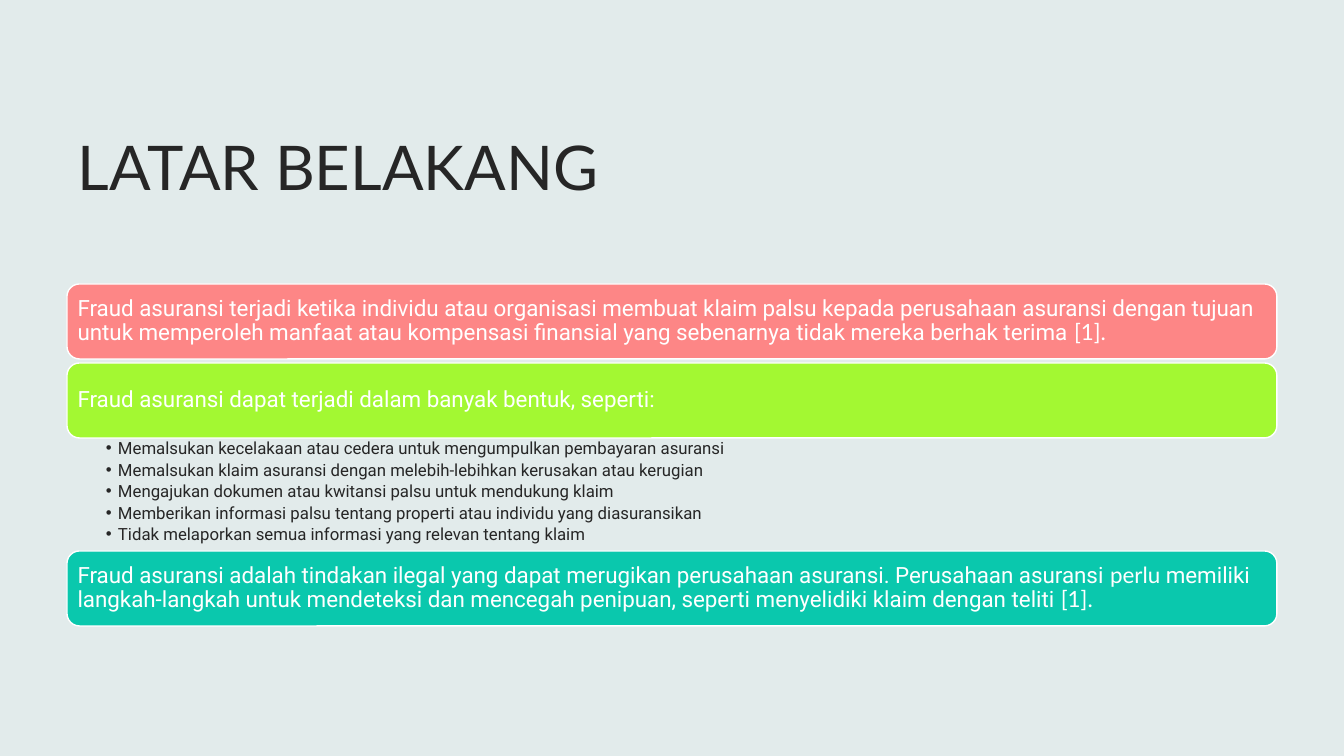
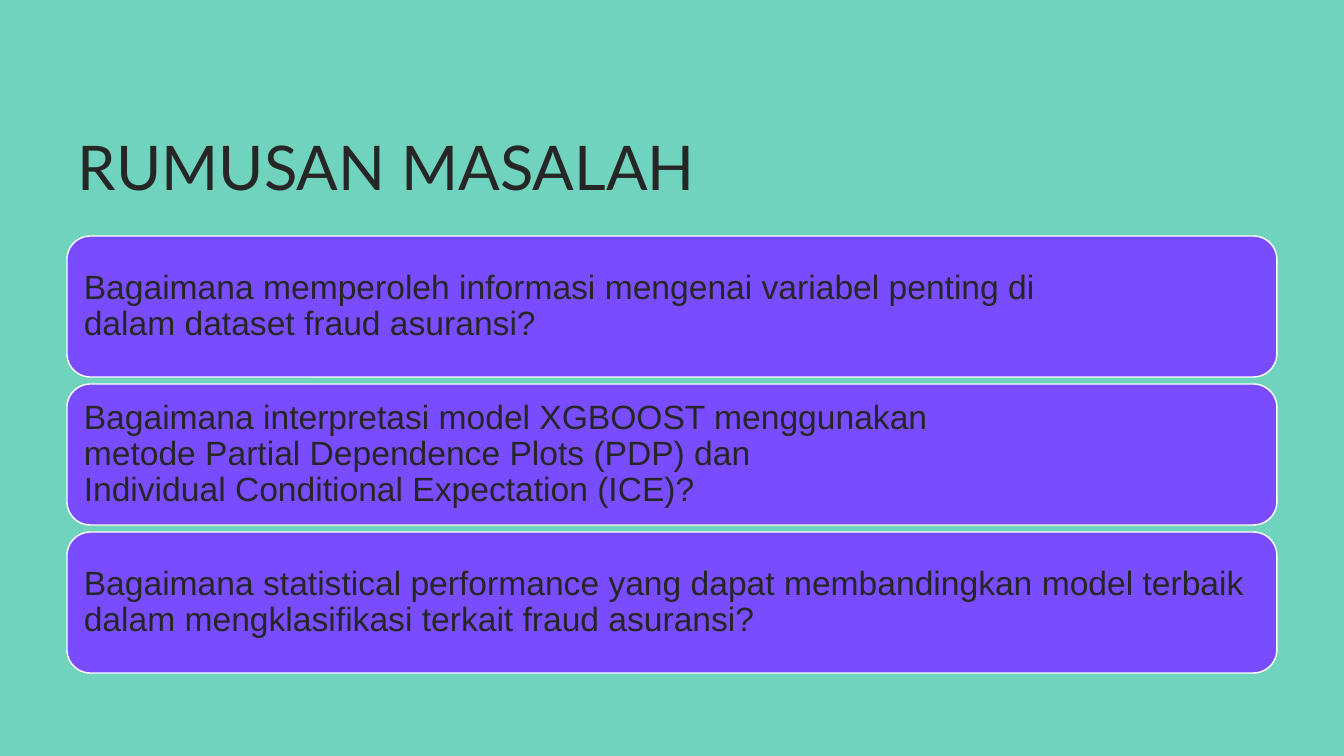
"""Builds two slides on insurance fraud: background and research questions."""
from lxml.etree import SubElement as add_element
from pptx import Presentation
from pptx.dml.color import RGBColor
from pptx.enum.shapes import MSO_SHAPE as Preset
from pptx.enum.text import MSO_ANCHOR as Anchor, MSO_AUTO_SIZE as AutoSize, PP_ALIGN as Align
from pptx.oxml.ns import qn
from pptx.util import Emu, Pt

WIDTH, HEIGHT = 1344, 756
EMU_PER_PX = 12192000 / WIDTH
MARGIN, CONTENT_WIDTH = 67, 1210

MIST = RGBColor(0xE9, 0xF3, 0xF3)
GRAY = RGBColor(0xAE, 0xAE, 0xAE)
GREEN = RGBColor(0x1E, 0xBE, 0x9B)
INK = RGBColor(0x26, 0x26, 0x26)
WHITE = RGBColor(0xFF, 0xFF, 0xFF)
CORAL = RGBColor(0xFD, 0x86, 0x86)
LIME = RGBColor(0xA3, 0xF8, 0x32)
TEAL = RGBColor(0x0A, 0xC8, 0xAD)
VIOLET = RGBColor(0x79, 0x4D, 0xFF)

TITLE_AND_BODY, TITLE_ONLY = 1, 5
TIE, HARD_SPACE = "~", chr(160)


def px(length):
    return Emu(round(length * EMU_PER_PX))


class Slides:
    def __init__(self):
        self.deck = Presentation()
        self.deck.slide_width, self.deck.slide_height = px(WIDTH), px(HEIGHT)
        self.page = None

    def start(self, layout, title, wash, opacity):
        self.page = self.deck.slides.add_slide(self.deck.slide_layouts[layout])
        background = self.page.background.fill
        background.solid()
        background.fore_color.rgb = MIST
        self.wash(wash, opacity)
        self.title(title)

    def shape(self, preset, left, top, width, height, color):
        shape = self.page.shapes.add_shape(preset, px(left), px(top), px(width), px(height))
        shape.shadow.inherit = False
        shape.fill.solid()
        shape.fill.fore_color.rgb = color
        return shape

    def wash(self, color, opacity):
        veil = self.shape(Preset.RECTANGLE, 0, 0, WIDTH, HEIGHT, color)
        veil.line.fill.background()
        tint = veil.fill._xPr.find(qn("a:solidFill"))[0]
        add_element(tint, qn("a:alpha"), val=str(opacity * 1000))
        tree = self.page.shapes._spTree
        tree.remove(veil._element)
        tree.insert(2, veil._element)

    def place(self, box, top, height):
        box.left, box.top = px(MARGIN), px(top)
        box.width, box.height = px(CONTENT_WIDTH), px(height)

    def frame(self, box, anchor, insets):
        frame = box.text_frame
        frame.word_wrap = True
        frame.auto_size = AutoSize.NONE
        frame.vertical_anchor = anchor
        frame.margin_left, frame.margin_top, frame.margin_right, frame.margin_bottom = map(px, insets)
        return frame

    def style(self, para, font, size, color):
        para.alignment = Align.LEFT
        para.font.name = font
        para.font.size = Pt(size)
        para.font.color.rgb = color

    def title(self, text):
        box = self.page.shapes.title
        self.place(box, 62, 146)
        frame = self.frame(box, Anchor.BOTTOM, (11, 5, 10, 5))
        frame.text = text
        self.style(frame.paragraphs[0], "Lato", 44, INK)

    def panel(self, top, height, color, spans, inset, font, size, ink):
        box = self.shape(Preset.ROUNDED_RECTANGLE, MARGIN, top, CONTENT_WIDTH, height, color)
        box.line.color.rgb = WHITE
        box.line.width = Pt(1)
        para = self.frame(box, Anchor.MIDDLE, [inset] * 4).paragraphs[0]
        para.line_spacing = 0.9
        self.style(para, font, size, ink)
        for text, span_font in spans:
            span = para.add_run()
            span.text = text.replace(TIE, HARD_SPACE)
            if span_font != font:
                span.font.name = span_font

    def bullets(self, top, height, items):
        box = self.page.placeholders[1]
        self.place(box, top, height)
        frame = self.frame(box, Anchor.TOP, (39, 2, 12, 2))
        for index, item in enumerate(items):
            para = frame.add_paragraph() if index else frame.paragraphs[0]
            para.text = item
            para.line_spacing = 0.9
            para.space_before, para.space_after = Pt(0), Pt(2.4)
            properties = para._p.get_or_add_pPr()
            properties.set("marL", str(px(12)))
            properties.set("indent", str(px(-12)))
            add_element(properties, qn("a:buChar"), char="•")
            self.style(para, "Roboto", 12, INK)


def add_background(slides):
    slides.start(TITLE_AND_BODY, "LATAR BELAKANG", GRAY, 10)
    panels = [
        (284, CORAL, [
            ("Fraud asuransi~terjadi ketika individu atau organisasi membuat klaim palsu~kepada "
             "perusahaan asuransi dengan tujuan untuk memperoleh manfaat atau kompensasi finansial "
             "yang sebenarnya tidak mereka berhak terima", "Roboto"),
            (" [1].", "Lato")]),
        (363, LIME, [("Fraud asuransi dapat terjadi dalam banyak bentuk, seperti:", "Roboto")]),
        (551, TEAL, [
            ("Fraud~asuransi adalah tindakan ilegal yang dapat merugikan perusahaan asuransi.~"
             "Perusahaan asuransi", "Roboto"),
            (" perlu", "Lato"),
            (" memiliki langkah-langkah untuk mendeteksi dan mencegah~penipuan, seperti "
             "menyelidiki klaim dengan teliti", "Roboto"),
            (" [1].", "Lato")]),
    ]
    for top, color, spans in panels:
        slides.panel(top, 75, color, spans, 7, "Roboto", 16, WHITE)
    slides.bullets(438, 113, [
        "Memalsukan kecelakaan atau cedera untuk mengumpulkan pembayaran asuransi",
        "Memalsukan klaim asuransi dengan melebih-lebihkan kerusakan atau kerugian",
        "Mengajukan dokumen atau kwitansi palsu untuk mendukung klaim",
        "Memberikan informasi palsu tentang properti atau individu yang diasuransikan",
        "Tidak melaporkan semua informasi yang relevan tentang klaim",
    ])


def add_questions(slides):
    slides.start(TITLE_ONLY, "RUMUSAN MASALAH", GREEN, 60)
    questions = [
        "Bagaimana memperoleh informasi mengenai variabel~penting di dalam~dataset~fraud~asuransi?",
        "Bagaimana interpretasi model XGBOOST menggunakan metode~Partial~Dependence~Plots~(PDP) "
        "dan Individual~Conditional~Expectation~(ICE)?",
        "Bagaimana statistical~performance~yang dapat~membandingkan model terbaik "
        "dalam~mengklasifikasi terkait~fraud~asuransi?",
    ]
    for row, question in enumerate(questions):
        slides.panel(236 + 148 * row, 141, VIOLET, [(question, "Arial")], 10, "Arial", 24, INK)


def main():
    slides = Slides()
    add_background(slides)
    add_questions(slides)
    slides.deck.save("out.pptx")


if __name__ == "__main__":
    main()
